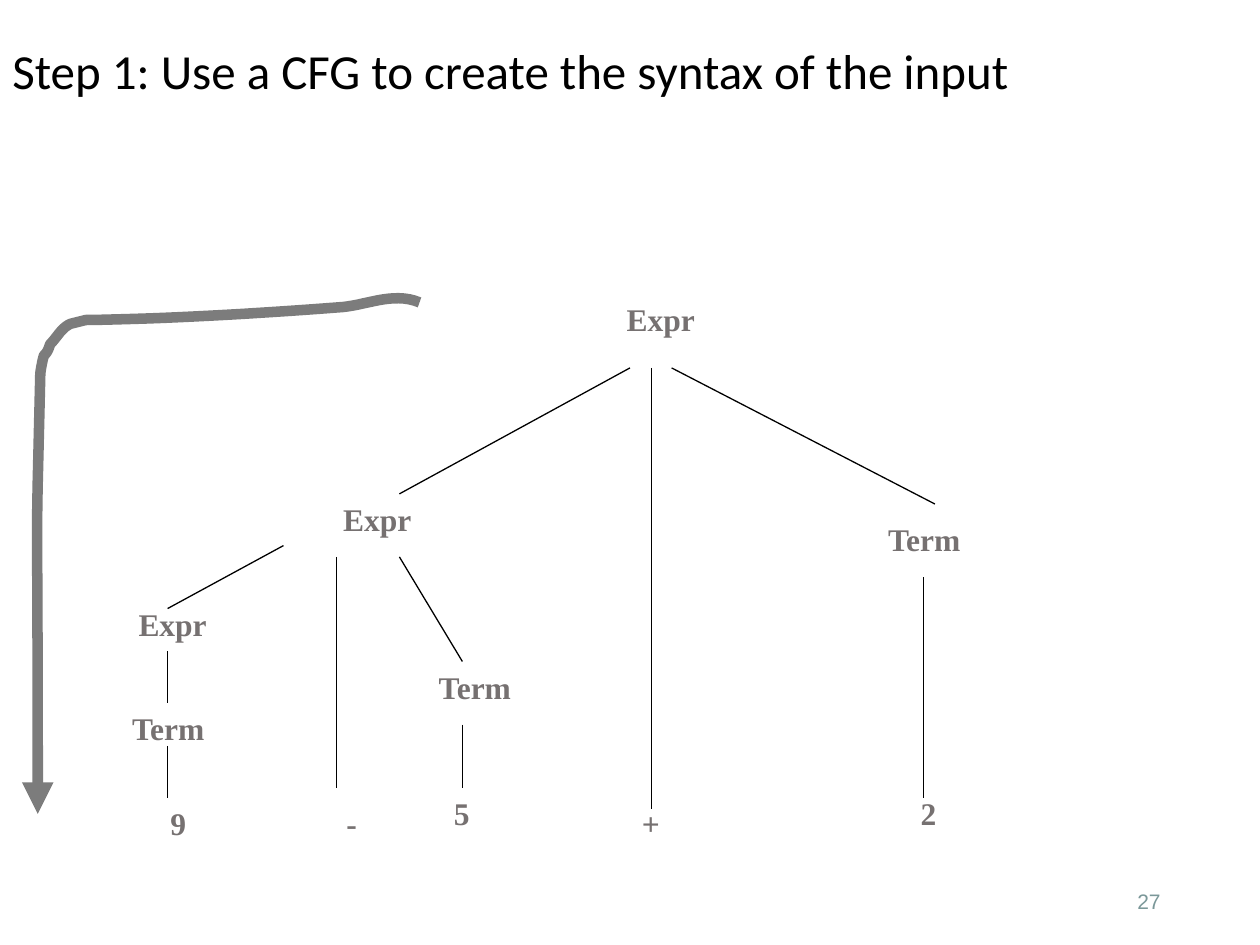
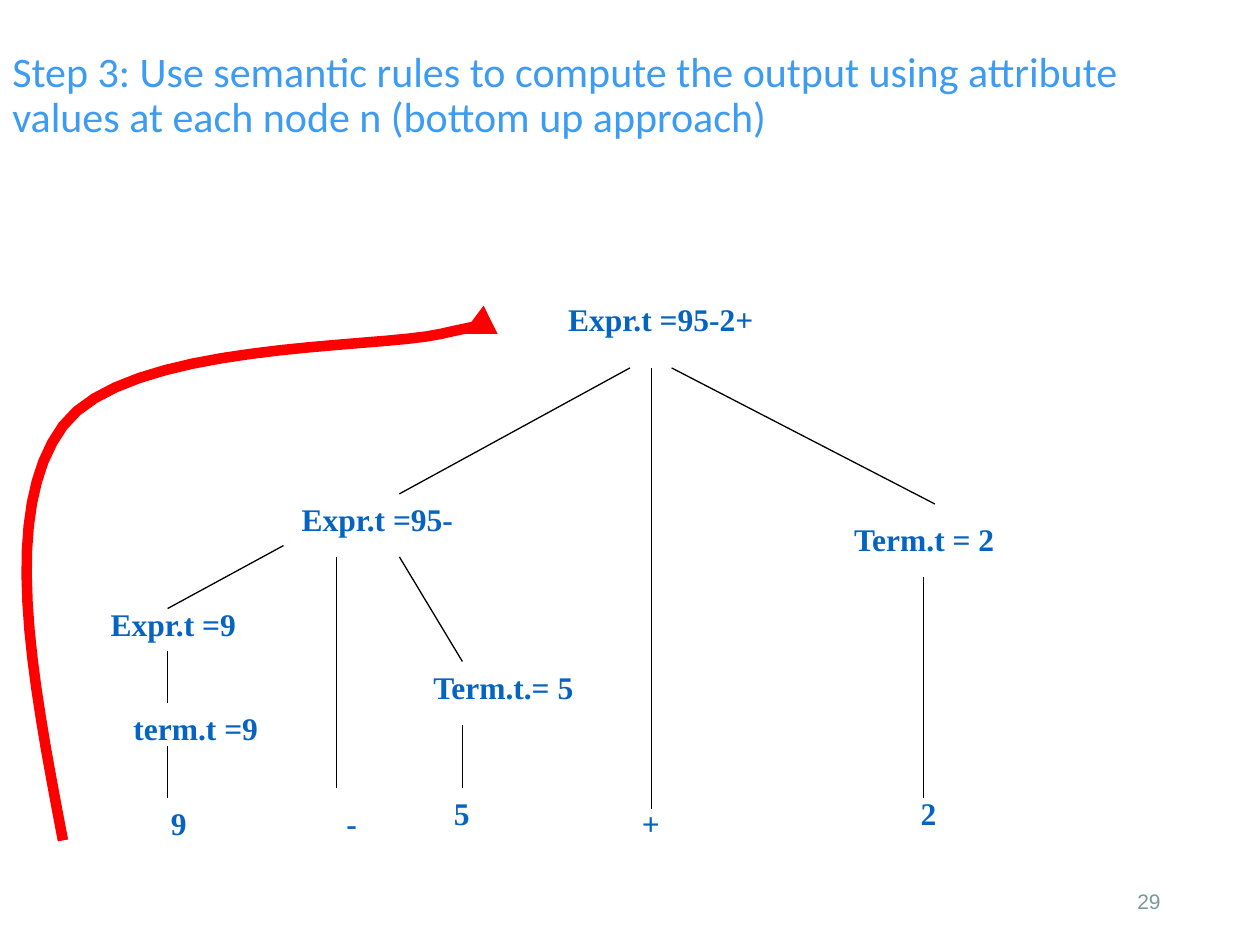
from lxml import etree
from pptx import Presentation
from pptx.dml.color import RGBColor
from pptx.enum.shapes import MSO_CONNECTOR
from pptx.enum.text import MSO_ANCHOR, MSO_AUTO_SIZE, PP_ALIGN
from pptx.oxml.ns import qn
from pptx.util import Inches, Pt

STRAIGHT = MSO_CONNECTOR.STRAIGHT
MIDDLE, TOP = MSO_ANCHOR.MIDDLE, MSO_ANCHOR.TOP
LEFT, CENTER, RIGHT = PP_ALIGN.LEFT, PP_ALIGN.CENTER, PP_ALIGN.RIGHT
FIT_TEXT = MSO_AUTO_SIZE.SHAPE_TO_FIT_TEXT
BRANCH_COLOR, NUMBER_COLOR = "000000", "7B9899"
NODE_HEIGHT = 0.4
CURVE_STEPS = 16

BRANCHES = [
    (5, 2.92, 3.17, 3.92), (5.17, 2.92, 5.17, 6.42), (5.33, 2.92, 7.42, 4),
    (3.17, 4.42, 3.67, 5.25), (3.67, 5.75, 3.67, 6.25),
    (2.67, 4.42, 2.67, 6.25), (2.25, 4.33, 1.33, 4.83),
    (1.33, 5.17, 1.33, 5.58), (1.33, 5.92, 1.33, 6.33),
    (7.33, 4.58, 7.33, 6.33),
]
LEAVES = [
    ("2", 6.08, 6.25, 2.58), ("+", 3.75, 6.33, 2.83),
    ("5", 2.58, 6.25, 2.17), ("-", 2, 6.33, 1.58),
]
SLIDES = [
    {
        "title": "Step 1: Use a CFG to create the syntax of the input",
        "title_size": 28, "title_color": "000000",
        "title_box": (10, 1.6), "title_bottom_inset": 0.48,
        "number": "27", "node_color": "767171",
        "nodes": [
            ("Expr", 3.83, 2.33, 2.83), ("Term", 5.92, 4.08, 2.83),
            ("Expr", 1.58, 3.92, 2.83), ("Term", 2.58, 5.25, 2.83),
            ("Expr", 0.58, 4.75, 1.58), ("Term", 0.5, 5.58, 1.67),
            ("9", 0, 6.33, 2.83),
        ],
        "right_term_inset": 0.55,
        "arrow_color": "7C7C7C", "arrow_start": (3.33, 2.4),
        "arrow_curves": [
            ((3.11, 2.31), (2.9, 2.43), (2.68, 2.44)),
            ((2.01, 2.49), (1.35, 2.53), (0.68, 2.54)),
            ((0.64, 2.55), (0.6, 2.56), (0.56, 2.57)),
            ((0.49, 2.6), (0.45, 2.68), (0.4, 2.73)),
            ((0.39, 2.75), (0.39, 2.76), (0.38, 2.78)),
            ((0.37, 2.8), (0.36, 2.81), (0.35, 2.82)),
            ((0.34, 2.84), (0.32, 2.95), (0.32, 2.97)),
            ((0.28, 4.67), (0.3, 3.51), (0.3, 6.46)),
        ],
    },
    {
        "title": "Step 3: Use semantic rules to compute the output using "
                 "attribute values at each node n (bottom up approach)",
        "title_size": 24, "title_color": "3C9CF4",
        "title_box": (9.5, 1.53), "title_bottom_inset": 0.05,
        "number": "29", "node_color": "0563C1",
        "nodes": [
            ("Expr.t =95-2+", 3.83, 2.33, 2.83), ("Term.t = 2", 5.92, 4.08, 2.83),
            ("Expr.t =95-", 1.58, 3.92, 2.83), ("Term.t.= 5", 2.58, 5.25, 2.83),
            ("Expr.t =9", 0.5, 4.75, 1.75), ("term.t =9 ", 0.75, 5.58, 1.67),
            ("9", 0.67, 6.33, 1.5),
        ],
        "right_term_inset": 0.1,
        "arrow_color": "FF0000", "arrow_start": (0.5, 6.67),
        "arrow_curves": [
            ((0.25, 5.36), (0, 4.05), (0.5, 3.38)),
            ((1, 2.71), (2.97, 2.77), (3.5, 2.65)),
            ((4.03, 2.53), (3.85, 2.59), (3.67, 2.65)),
        ],
    },
]


def color(value):
    return RGBColor.from_string(value)


def add_text(page, text, place, font, size, fill, align, anchor, bold=False):
    box = page.shapes.add_textbox(*[Inches(length) for length in place])
    frame = box.text_frame
    frame.word_wrap = True
    frame.vertical_anchor = anchor
    para = frame.paragraphs[0]
    para.alignment = align
    span = para.add_run()
    span.text = text
    span.font.name = font
    span.font.size = Pt(size)
    span.font.bold = bold
    span.font.color.rgb = color(fill)
    return frame


deck = Presentation()
deck.slide_width, deck.slide_height = Inches(10), Inches(7.5)

for content in SLIDES:
    page = deck.slides.add_slide(deck.slide_layouts[6])

    title = add_text(page, content["title"], (0, 0, *content["title_box"]),
                     "Calibri", content["title_size"], content["title_color"],
                     LEFT, MIDDLE)
    title.margin_bottom = Inches(content["title_bottom_inset"])
    title.paragraphs[0].line_spacing = 0.9
    add_text(page, content["number"], (7.06, 6.95, 2.25, 0.4),
             "Arial", 12, NUMBER_COLOR, RIGHT, MIDDLE)

    for x1, y1, x2, y2 in BRANCHES:
        branch = page.shapes.add_connector(
            STRAIGHT, Inches(x1), Inches(y1), Inches(x2), Inches(y2))
        branch.line.color.rgb = color(BRANCH_COLOR)
        branch.line.width = Pt(0.75)
        etree.SubElement(branch._element.spPr, qn("a:effectLst"))

    node_frames = []
    for text, left, top, width in content["nodes"] + LEAVES:
        node = add_text(page, text, (left, top, width, NODE_HEIGHT),
                        "Times New Roman", 18, content["node_color"],
                        CENTER, TOP, bold=True)
        node.auto_size = FIT_TEXT
        node_frames.append(node)
    node_frames[3].margin_right = Inches(content["right_term_inset"])

    start = content["arrow_start"]
    points = []
    for curve in content["arrow_curves"]:
        controls = (start, *curve)
        for step in range(1, CURVE_STEPS + 1):
            t = step / CURVE_STEPS
            weights = ((1 - t) ** 3, 3 * t * (1 - t) ** 2,
                       3 * t ** 2 * (1 - t), t ** 3)
            points.append(tuple(
                Inches(sum(weight * control[axis]
                           for weight, control in zip(weights, controls)))
                for axis in (0, 1)))
        start = curve[-1]
    start_x, start_y = content["arrow_start"]
    builder = page.shapes.build_freeform(Inches(start_x), Inches(start_y))
    builder.add_line_segments(points, close=False)
    arrow = builder.convert_to_shape()
    arrow.shadow.inherit = False
    arrow.fill.background()
    arrow.line.color.rgb = color(content["arrow_color"])
    arrow.line.width = Pt(6)
    etree.SubElement(arrow.line._get_or_add_ln(), qn("a:tailEnd"), type="triangle")

deck.save("out.pptx")
